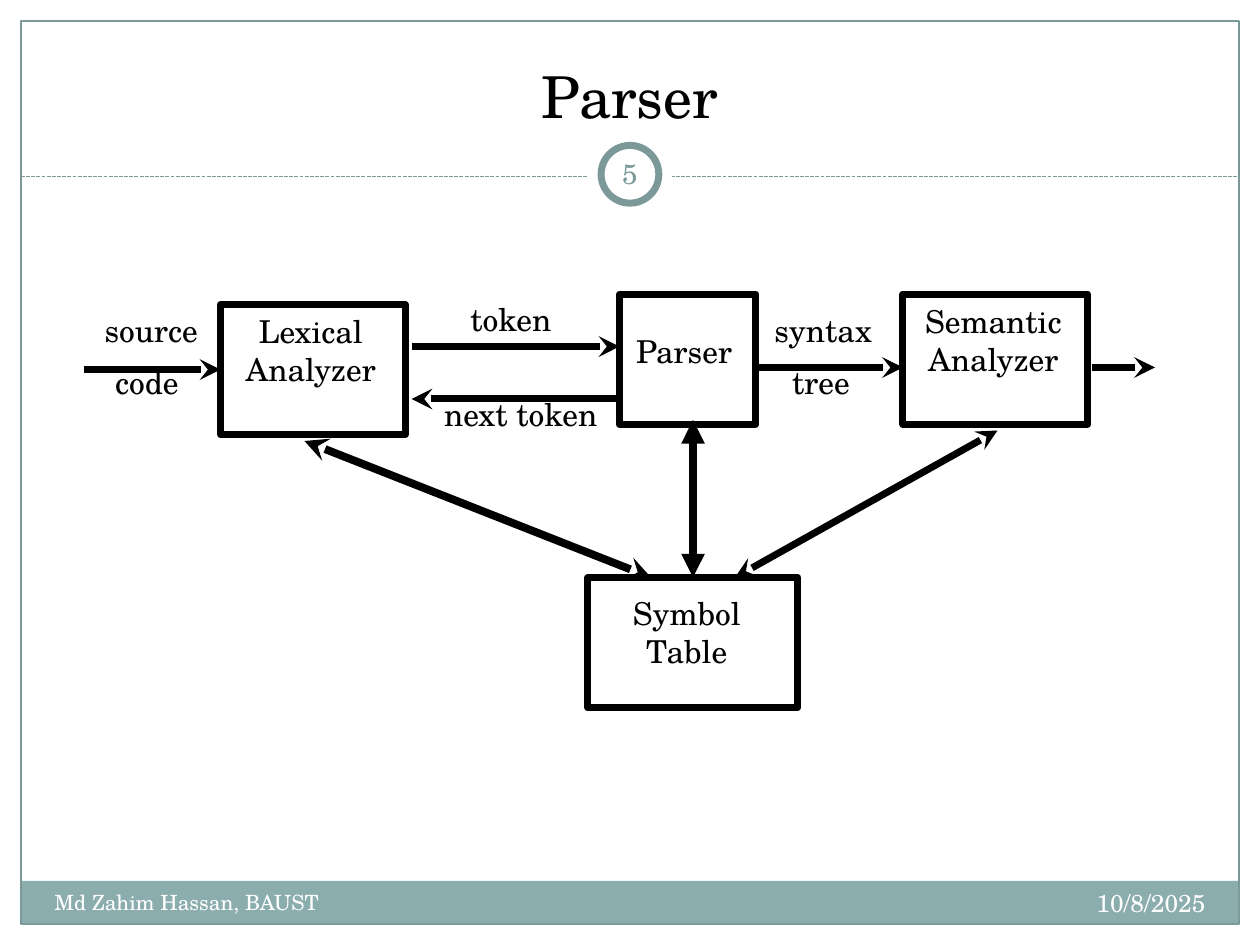
import pptx
import pptx.util
import pptx.dml.color
import pptx.enum.dml
import pptx.enum.shapes
import pptx.enum.text
import pptx.oxml.ns
from lxml import etree

COLORS = {"ink": "000000", "paper": "FFFFFF", "teal": "7C999A", "band": "8CADAE"}
FONT = "TeX Gyre Schola"
COLS, ROWS = 120, 90  # grid of the whole slide
SHAPE = pptx.enum.shapes.MSO_SHAPE
ALIGN = pptx.enum.text.PP_ALIGN
ANCHOR = pptx.enum.text.MSO_ANCHOR
TOP, LEFT = 0, 1  # connection sites of a rectangle

prs = pptx.Presentation()
prs.slide_width = pptx.util.Inches(10)
prs.slide_height = pptx.util.Inches(7.5)


def grid(col, row):
    return int(col * prs.slide_width / COLS), int(row * prs.slide_height / ROWS)


def rgb(name):
    return pptx.dml.color.RGBColor.from_string(COLORS[name])


def add_box(s, box, kind=SHAPE.RECTANGLE, fill=None, line=None, width=4):
    x, y, w, h = box
    sp = s.shapes.add_shape(kind, *grid(x, y), *grid(w, h))
    sp.shadow.inherit = False
    if fill:
        sp.fill.solid()
        sp.fill.fore_color.rgb = rgb(fill)
    else:
        sp.fill.background()
    if line:
        sp.line.color.rgb = rgb(line)
        sp.line.width = pptx.util.Pt(width)
    else:
        sp.line.fill.background()
    return sp


def add_text(s, box, lines, size=18, color="ink", align=ALIGN.CENTER,
             anchor=ANCHOR.TOP, wrap=False, inset=0.1):
    x, y, w, h = box
    tf = s.shapes.add_textbox(*grid(x, y), *grid(w, h)).text_frame
    tf.word_wrap = wrap
    tf.vertical_anchor = anchor
    tf.margin_left = tf.margin_right = pptx.util.Inches(inset)
    if not wrap:
        tf.auto_size = pptx.enum.text.MSO_AUTO_SIZE.SHAPE_TO_FIT_TEXT
    for i, line in enumerate(lines):
        p = tf.add_paragraph() if i else tf.paragraphs[0]
        p.alignment = align
        r = p.add_run()
        r.text = line
        r.font.name = FONT
        r.font.size = pptx.util.Pt(size)
        r.font.color.rgb = rgb(color)


def add_line(s, start, end, color="ink", width=4, head=None, tail=None):
    c = s.shapes.add_connector(pptx.enum.shapes.MSO_CONNECTOR.STRAIGHT,
                               *grid(*start), *grid(*end))
    c.line.color.rgb = rgb(color)
    c.line.width = pptx.util.Pt(width)
    ln = c.line._get_or_add_ln()
    for tag, arrow in (("a:headEnd", head), ("a:tailEnd", tail)):
        if arrow:
            etree.SubElement(ln, pptx.oxml.ns.qn(tag), type=arrow)
    etree.SubElement(c._element.spPr, pptx.oxml.ns.qn("a:effectLst"))
    return c


def add_frame(s, box):
    """Outline, footer band and dashed rule with the page number ring."""
    x, y, w, h = box
    add_box(s, (x, y + h - 4.1, w, 4.1), fill="band")
    add_box(s, box, line="teal", width=0.75)
    rule_y, mid = 16.8, x + w / 2
    rule = add_line(s, (x, rule_y), (x + w, rule_y), "teal", 0.75)
    rule.line.dash_style = pptx.enum.dml.MSO_LINE.SQUARE_DOT
    for d, line in ((8, None), (5.5, "teal")):
        add_box(s, (mid - d / 2, 16.6 - d / 2, d, d), SHAPE.OVAL, "paper", line)
    add_text(s, (mid - 3, 13.6, 6, 5.8), ["5"], 16, "teal",
             anchor=ANCHOR.MIDDLE, wrap=True, inset=0.05)


def add_captions(s, box):
    """Slide title above, author and date in the footer band."""
    x, y, w, h = box
    add_text(s, (x, y, w, 10), ["Parser"], 33, anchor=ANCHOR.BOTTOM, wrap=True)
    add_text(s, (x, y + h - 4.7, 47, 4.7), ["Md Zahim Hassan, BAUST"], 12,
             "paper", ALIGN.LEFT, wrap=True)
    add_text(s, (x + w - 40, y + h - 4.8, 40, 4.8), ["10/8/2025"], 14,
             "paper", ALIGN.RIGHT, wrap=True)


def add_diagram(s, box):
    """Compiler phases in a row, sharing the symbol table below."""
    left, top = box[:2]

    def at(x, y):
        return left + x, top + y

    # phase: box column, row, width; label column, row, width, height; lines
    phases = {
        "lexer": (13, 1, 17.6, 13.1, 1.1, 17, 10.8, ["Lexical", "Analyzer"]),
        "parser": (51, 0, 13, 51, 3, 12.3, 6, ["Parser"]),
        "table": (48, 27, 20, 50, 28, 14.8, 10.8, ["Symbol", "Table"]),
        "semantic": (78, 0, 17.6, 78, 0.2, 17.2, 10.8, ["Semantic", "Analyzer"]),
    }
    nodes = {}
    for name, (x, y, w, tx, ty, tw, th, lines) in phases.items():
        nodes[name] = add_box(s, (*at(x, y), w, 12.4), line="ink")
        add_text(s, (*at(tx, ty), tw, th), lines)

    labels = [("source", 0, 1, 12.8), ("code", 1, 6, 10),
              ("token", 35, 0, 11.3), ("next token", 32, 9, 19.2),
              ("syntax", 64, 1, 12.8), ("tree", 66, 6, 8.4)]
    for word, x, y, w in labels:
        add_text(s, (*at(x, y), w, 6), [word])

    source = add_line(s, at(0, 7.2), at(13, 7.2), tail="stealth")
    source.end_connect(nodes["lexer"], LEFT)
    for start, end in (((31.2, 5), (51, 5)), ((51, 10), (31.2, 10)),
                       ((64, 7), (78, 7)), ((96, 7), (102, 7))):
        add_line(s, at(*start), at(*end), tail="stealth")
    for start, end, width in (((21, 14), (54, 27), 4.5), ((87, 13), (62, 27), 4)):
        add_line(s, at(*start), at(*end), width=width, head="stealth", tail="stealth")
    lookup = add_line(s, at(58, 12), at(58, 27), width=4.5,
                      head="triangle", tail="triangle")
    lookup.end_connect(nodes["table"], TOP)


def main():
    s = prs.slides.add_slide(prs.slide_layouts[6])
    add_frame(s, (2, 2, COLS - 4, ROWS - 4))
    add_captions(s, (4, 3, COLS - 8, ROWS - 4.2))
    add_diagram(s, (8, 28, 102, 40))
    prs.save("out.pptx")


if __name__ == "__main__":
    main()
